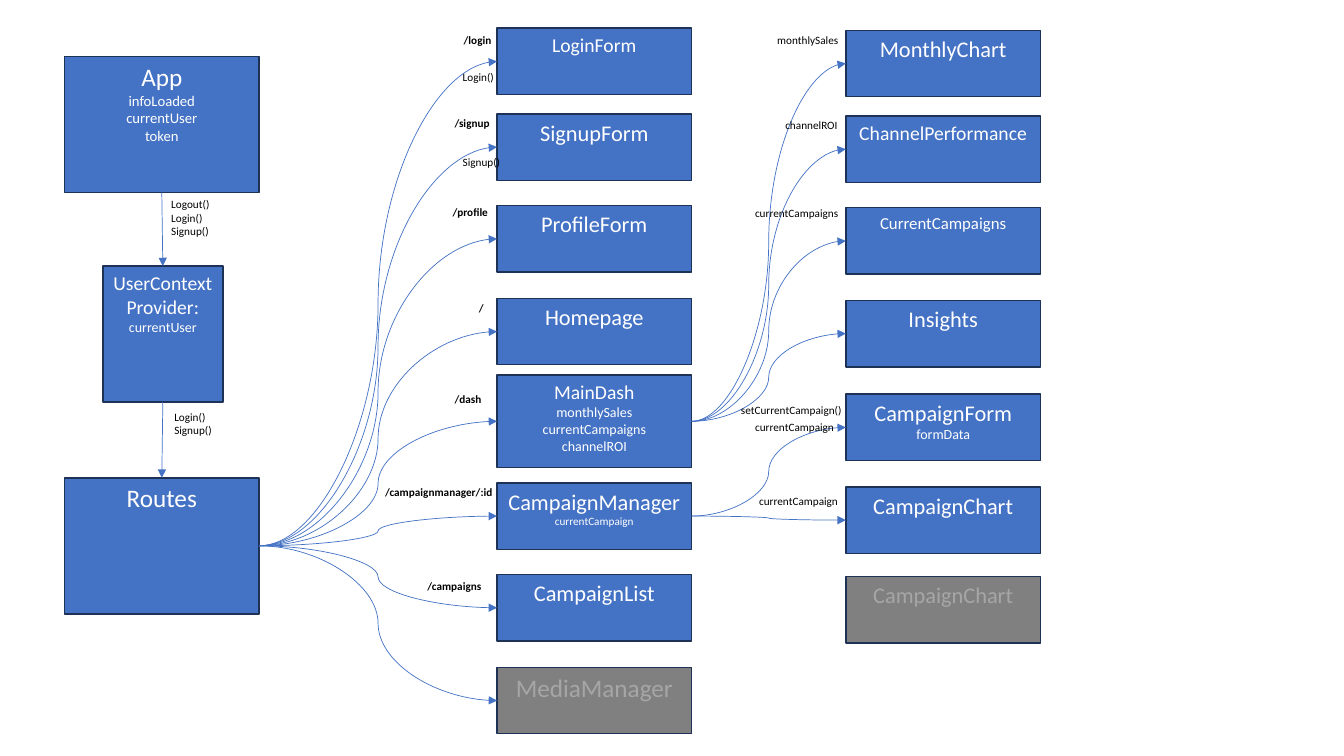
from pptx import Presentation
from pptx import util as u
from pptx.dml.color import RGBColor
from pptx.enum import shapes, text
from pptx.oxml.ns import qn
from lxml import etree

BLUE, NAVY, GREY, PALE = "4472C4", "1E3256", "808080", "A6A6A6"
WHITE, BLACK = "FFFFFF", "000000"
TOP, LEFT, BOTTOM, RIGHT = range(4)  # connection sites of a rectangle
BOX_W, BOX_H, TALL_H = 1.93, 0.66, 1.35
APP_X, PAGE_X, PART_X = 0.64, 4.93, 8.39

# top, heading, heading size, [state lines, state size, height]
PAGES = [
    (0.28, "LoginForm", 14),
    (1.13, "SignupForm", 16),
    (2.04, "ProfileForm", 16),
    (2.96, "Homepage", 16),
    (3.72, "MainDash", 14, ["monthlySales", "currentCampaigns", "channelROI"], 10, 0.92),
    (4.79, "CampaignManager", 16, ["currentCampaign"], 8),
    (5.7, "CampaignList", 16),
    (6.62, "MediaManager", 18),
]
PARTS = [
    (0.3, "MonthlyChart", 16),
    (1.15, "ChannelPerformance", 14),
    (2.06, "CurrentCampaigns", 12),
    (2.98, "Insights", 16),
    (3.91, "CampaignForm", 16, ["formData"], 10),
    (4.83, "CampaignChart", 16),
    (5.72, "CampaignChart", 16),
]

# left, top, width, text
ROUTE_LABELS = [
    (4.5, 0.28, 0.48, "/login"),
    (4.41, 1.11, 0.56, "/signup"),
    (4.39, 1.99, 0.56, "/profile"),
    (4.65, 2.94, 0.25, "/"),
    (4.41, 3.84, 0.47, "/dash"),
    (3.72, 4.77, 1.28, "/campaignmanager/:id"),
    (4.14, 5.7, 0.75, "/campaigns"),
]
PROP_LABELS = [
    (1.6, 1.91, 0.58, "Logout()\nLogin()\nSignup()"),
    (1.63, 4.02, 0.58, "Login()\nSignup()"),
    (4.49, 0.65, 0.51, "Login()"),
    (4.49, 1.49, 0.58, "Signup()"),
    (7.61, 0.28, 0.82, "monthlySales"),
    (7.69, 1.12, 0.73, "channelROI"),
    (7.39, 2, 1.04, "currentCampaigns"),
    (7.25, 3.95, 1.21, "setCurrentCampaign()"),
    (7.43, 4.86, 0.99, "currentCampaign"),
    (7.39, 4.12, 0.99, "currentCampaign"),
]


def color(hex_string):
    return RGBColor.from_string(hex_string)


def style(paragraph, size, ink, bold=False):
    font = paragraph.font
    font.name, font.size, font.bold = "Calibri", u.Pt(size), bold
    font.color.rgb = color(ink)


def add_component(slide, left, top, width, height, lines, fill=BLUE, ink=WHITE):
    """Draw a box; lines holds (text, size) pairs."""
    component = slide.shapes.add_shape(
        shapes.MSO_SHAPE.RECTANGLE, *map(u.Inches, (left, top, width, height)))
    component.shadow.inherit = False
    component.fill.solid()
    component.fill.fore_color.rgb = color(fill)
    component.line.color.rgb = color(NAVY)
    component.line.width = u.Pt(1)
    frame = component.text_frame
    frame.word_wrap = True
    frame.vertical_anchor = text.MSO_ANCHOR.TOP
    frame.text = "\n".join(line for line, _ in lines)
    for paragraph, (_, size) in zip(frame.paragraphs, lines):
        paragraph.alignment = text.PP_ALIGN.CENTER
        style(paragraph, size, ink)
    return component


def add_column(slide, left, rows):
    """Draw a column of components whose last one is greyed out."""
    column = []
    for row in rows:
        top, heading, size, *state = row
        names, state_size, height = (state + [[], 10, BOX_H][len(state):])
        lines = [(heading, size)] + [(name, state_size) for name in names]
        colors = (GREY, PALE) if row is rows[-1] else (BLUE, WHITE)
        column.append(add_component(slide, left, top, BOX_W, height, lines, *colors))
    return column


def add_arrow(slide, source, target, kind=shapes.MSO_CONNECTOR.CURVE, sites=(RIGHT, LEFT)):
    arrow = slide.shapes.add_connector(kind, 0, 0, 0, 0)
    arrow.begin_connect(source, sites[0])
    arrow.end_connect(target, sites[1])
    arrow.line.color.rgb = color(BLUE)
    arrow.line.width = u.Pt(0.5)
    properties = arrow._element.spPr
    etree.SubElement(properties.find(qn("a:ln")), qn("a:tailEnd"), type="triangle")
    etree.SubElement(properties, qn("a:effectLst"))


def add_label(slide, left, top, width, wording, bold=False):
    height = 0.11 + 0.13 * len(wording.split("\n"))
    label = slide.shapes.add_textbox(*map(u.Inches, (left, top, width, height)))
    frame = label.text_frame
    frame.word_wrap = False
    frame.auto_size = text.MSO_AUTO_SIZE.SHAPE_TO_FIT_TEXT
    frame.text = wording
    for paragraph in frame.paragraphs:
        style(paragraph, 8, BLACK, bold)


def main():
    deck = Presentation()
    deck.slide_width, deck.slide_height = u.Inches(13.33), u.Inches(7.5)
    slide = deck.slides.add_slide(deck.slide_layouts[6])

    # Application root, context and router
    app = add_component(slide, APP_X, 0.56, BOX_W, TALL_H, [
        ("App", 18), ("infoLoaded", 10.5), ("currentUser", 10.5), ("token", 10.5)])
    context = add_component(slide, 1.02, 2.64, 1.19, TALL_H, [
        ("UserContext", 14), ("Provider:", 14), ("currentUser", 10)])
    routes = add_component(slide, APP_X, 4.74, BOX_W, TALL_H, [("Routes", 18)])

    # Pages and the parts they contain
    pages = add_column(slide, PAGE_X, PAGES)
    parts = add_column(slide, PART_X, PARTS)
    main_dash, campaign_manager = pages[4:6]

    # Data flow
    for source, target in ((app, context), (context, routes)):
        add_arrow(slide, source, target, shapes.MSO_CONNECTOR.STRAIGHT, (BOTTOM, TOP))
    for page in pages:
        add_arrow(slide, routes, page)
    for part in parts[:4]:
        add_arrow(slide, main_dash, part)
    for part in parts[4:6]:
        add_arrow(slide, campaign_manager, part)

    # Labels on the arrows
    for label in PROP_LABELS:
        add_label(slide, *label)
    for label in ROUTE_LABELS:
        add_label(slide, *label, bold=True)

    deck.save("out.pptx")


main()
